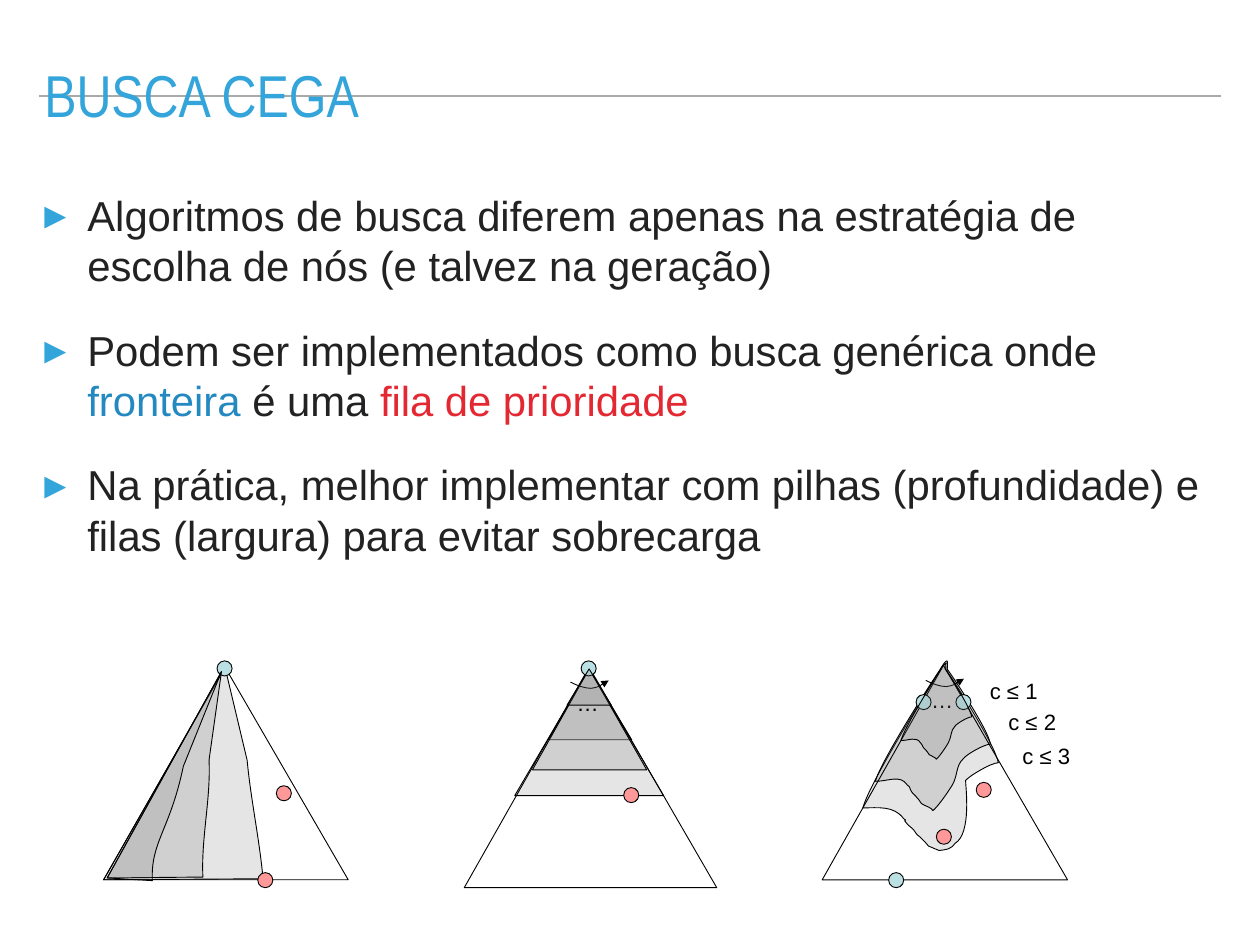
from lxml.etree import SubElement
from pptx import Presentation
from pptx.dml.color import RGBColor
from pptx.enum.shapes import MSO_CONNECTOR, MSO_SHAPE
from pptx.enum.text import MSO_ANCHOR, MSO_AUTO_SIZE, PP_ALIGN
from pptx.oxml.ns import qn
from pptx.util import Pt

BLACK = RGBColor(0, 0, 0)
GRAY = RGBColor(0x80, 0x80, 0x80)
RULE_GRAY = RGBColor(0xA6, 0xAA, 0xA9)
TEXT_DARK = RGBColor(0x22, 0x22, 0x22)
TITLE_BLUE = RGBColor(0x34, 0xA5, 0xDA)
WORD_BLUE = RGBColor(0x23, 0x89, 0xC0)
WORD_RED = RGBColor(0xE4, 0x28, 0x32)
START_BLUE = RGBColor(0xBB, 0xE0, 0xE3)
GOAL_RED = RGBColor(0xFF, 0x99, 0x99)

TITLE = "BUSCA CEGA"
BULLETS = [
    [("Algoritmos de busca diferem apenas na estratégia de escolha de nós (e talvez na geração)", TEXT_DARK)],
    [("Podem ser implementados como busca genérica onde ", TEXT_DARK), ("fronteira", WORD_BLUE),
     (" é uma ", TEXT_DARK), ("fila de prioridade", WORD_RED)],
    [("Na prática, melhor implementar com pilhas (profundidade) e filas (largura) para evitar sobrecarga", TEXT_DARK)],
]

DEPTH_WIDE = [(84.2, 715), (213.8, 714.2), (211, 682.6, 203.8, 649.4, 200.9, 617.8), (182.9, 542.2)]
DEPTH_MIDDLE = [(87.1, 713.5), (164.9, 712.8), (163.4, 681.1, 171.4, 649.4, 169.9, 617.8), (180, 545.8)]
DEPTH_NARROW = [(87.1, 713.5), (123.8, 715.7), (122.4, 684, 138.2, 674.6, 149, 622.8), (180, 545.8)]

COST_THREE = [
    (770.4, 546.5),
    (778.3, 558, 808.6, 605.5, 811.4, 619.9),
    (805.7, 619.9, 787.7, 630.7, 784.8, 634.3),
    (784.8, 639.4, 789.8, 677.5, 776.2, 685.4),
    (772.6, 690.5, 769, 690.5, 763.2, 691.2),
    (758.9, 689.8, 758.2, 689.8, 754.6, 687.6),
    (752.4, 684.7, 748.1, 680.4, 745.2, 678.2),
    (741.6, 673.2, 743.8, 675.4, 738.7, 671),
    (730.8, 663.1, 739.4, 668.9, 734.4, 665.3),
    (726.5, 654.5, 713.5, 656.6, 701.3, 656.6),
    (706.3, 637.2, 751, 565.2, 762.5, 547.2),
    (774, 528.5, 768.2, 546.5, 770.4, 546.5),
]
COST_TWO = [
    (769.7, 543.6),
    (776.9, 553.7, 802.8, 592.6, 805, 604.8),
    (799.9, 604.8, 784.8, 613.4, 782.6, 617),
    (776.9, 622.1, 778.3, 630.7, 774, 637.9),
    (769.7, 645.1, 761.8, 655.9, 758.2, 658.8),
    (756.7, 655.9, 751.7, 655.2, 748.8, 653),
    (745.9, 648.7, 747.4, 650.9, 743.8, 646.6),
    (737.3, 640.8, 741.6, 640.8, 737.3, 637.9),
    (731.5, 629.3, 722.2, 635, 711.4, 635),
    (715.7, 619.2, 753.8, 559.4, 763.9, 544.3),
    (773.3, 528.5, 769, 543.6, 769.7, 543.6),
]
SWEEP = [(0, 0), (5.8, 2.9, 11.5, 5, 16.6, 5), (22.3, 4.3, 26.6, 1.4, 31, -1.4)]


def place(path, left, top, origin=(0, 0), scale=(1, 1)):
    offsets = (left, top)
    return [tuple(offsets[i % 2] + (value - origin[i % 2]) * scale[i % 2]
                  for i, value in enumerate(node)) for node in path]


def triangle(left, right, base, apex_x, apex_y):
    return [(left, base), (right, base), (apex_x, apex_y)]


def breadth_layer(left, right, base):
    return triangle(left, right, base, 478.8, 543.6)


COST_ONE = place(COST_TWO, 732.2, 543.6, (711.4, 543.6), (0.615, 0.6375))

DRAWING = [
    ("area", breadth_layer(445.7, 513.4, 601.2)),
    ("area", breadth_layer(418.3, 539.3, 646.6)),
    ("area", breadth_layer(432.7, 525.6, 625.7)),
    ("outline", triangle(377.3, 582.5, 721.4, 478.8, 542.2)),
    ("start", (472.3, 537.1)),
    ("label", "…", (465.1, 556.6, 19.4, 24.5)),
    ("arrow", place(SWEEP, 463.7, 554.4)),
    ("goal", (506.9, 640.1)),
    ("area", breadth_layer(460.8, 496.8, 573.1)),
    ("area", DEPTH_WIDE),
    ("outline", triangle(84.2, 283, 715, 182.9, 542.2)),
    ("start", (176.4, 537.1)),
    ("goal", (209.5, 709.2)),
    ("area", DEPTH_MIDDLE),
    ("area", DEPTH_NARROW),
    ("goal", (224.6, 638.6)),
    ("area", COST_THREE),
    ("area", COST_TWO),
    ("label", "…", (753.1, 554.4, 18.7, 23.8)),
    ("outline", triangle(668.2, 867.6, 715, 766.8, 540.7)),
    ("start", (744.5, 564.5)),
    ("start", (776.9, 564.5)),
    ("arrow", place(SWEEP, 752.4, 553)),
    ("start", (722.2, 709.2)),
    ("goal", (793.4, 635.8)),
    ("goal", (761, 673.9)),
    ("area", COST_ONE),
    ("label", "c ≤ 3", (827.3, 599.8, 56.2, 25.2)),
    ("label", "c ≤ 2", (815.8, 572.4, 56.2, 25.2)),
    ("label", "c ≤ 1", (800.8, 546.8, 56.2, 25.2)),
]


def extent_points(path, steps=16):
    points = [path[0]]
    for node in path[1:]:
        if len(node) == 2:
            points.append(node)
            continue
        controls = [points[-1], node[:2], node[2:4], node[4:]]
        for step in range(1, steps + 1):
            t = step / steps
            weights = ((1 - t) ** 3, 3 * t * (1 - t) ** 2, 3 * t * t * (1 - t), t ** 3)
            points.append(tuple(sum(w * c[axis] for w, c in zip(weights, controls)) for axis in (0, 1)))
    return points


def write_segments(shape, path, closed):
    outline = shape._element.spPr.find(".//" + qn("a:path"))
    for segment in list(outline):
        outline.remove(segment)
    for index, node in enumerate(path):
        tag = "a:moveTo" if index == 0 else "a:lnTo" if len(node) == 2 else "a:cubicBezTo"
        segment = SubElement(outline, qn(tag))
        for x, y in zip(node[::2], node[1::2]):
            SubElement(segment, qn("a:pt"), x=str(Pt(x) - shape.left), y=str(Pt(y) - shape.top))
    if closed:
        SubElement(outline, qn("a:close"))


def style_line(shape):
    shape.shadow.inherit = False
    shape.line.color.rgb = BLACK
    shape.line.width = Pt(0.75)


def add_path(slide, kind, path):
    points = [(Pt(x), Pt(y)) for x, y in extent_points(path)]
    builder = slide.shapes.build_freeform(*points[0])
    builder.add_line_segments(points[1:], close=False)
    shape = builder.convert_to_shape()
    write_segments(shape, path, kind != "arrow")
    if kind == "area":
        shape.fill.solid()
        shape.fill.fore_color.rgb = GRAY
        color = shape._element.spPr.find(".//" + qn("a:srgbClr"))
        SubElement(color, qn("a:alpha"), val="20000")
    else:
        shape.fill.background()
    style_line(shape)
    if kind == "arrow":
        SubElement(shape.line._get_or_add_ln(), qn("a:tailEnd"), type="triangle")


def add_node(slide, kind, position):
    left, top = position
    shape = slide.shapes.add_shape(MSO_SHAPE.OVAL, Pt(left), Pt(top), Pt(12.24), Pt(12.24))
    shape.fill.solid()
    shape.fill.fore_color.rgb = START_BLUE if kind == "start" else GOAL_RED
    style_line(shape)


def prepare_frame(frame, inset, anchor=MSO_ANCHOR.TOP):
    frame.word_wrap = True
    frame.auto_size = MSO_AUTO_SIZE.NONE
    frame.vertical_anchor = anchor
    frame.margin_left = frame.margin_right = frame.margin_top = frame.margin_bottom = Pt(inset)


def add_run(paragraph, text, size, color, font_name="Arial"):
    run = paragraph.add_run()
    run.text = text
    run.font.size = Pt(size)
    run.font.name = font_name
    run.font.color.rgb = color


def add_label(slide, text, box):
    frame = slide.shapes.add_textbox(*map(Pt, box)).text_frame
    prepare_frame(frame, 3.6)
    add_run(frame.paragraphs[0], text, 18, BLACK)


def add_title(slide):
    title = slide.shapes.title
    title.left, title.top, title.width, title.height = Pt(32), Pt(53.3), Pt(960), Pt(56.9)
    prepare_frame(title.text_frame, 4, MSO_ANCHOR.MIDDLE)
    paragraph = title.text_frame.paragraphs[0]
    paragraph.alignment = PP_ALIGN.LEFT
    paragraph.line_spacing = 0.8
    add_run(paragraph, TITLE, 48, TITLE_BLUE, "Arial Narrow")
    rule = slide.shapes.add_connector(MSO_CONNECTOR.STRAIGHT, Pt(32), Pt(78.2), Pt(992), Pt(78.2))
    rule.line.color.rgb = RULE_GRAY
    rule.line.width = Pt(2)
    SubElement(rule._element.spPr, qn("a:effectLst"))
    title._element.addprevious(rule._element)


def add_bullets(slide):
    frame = slide.shapes.add_textbox(Pt(32), Pt(150), Pt(960), Pt(354)).text_frame
    prepare_frame(frame, 4)
    for index, runs in enumerate(BULLETS):
        paragraph = frame.add_paragraph() if index else frame.paragraphs[0]
        properties = paragraph._p.get_or_add_pPr()
        properties.set("marL", str(Pt(35)))
        properties.set("indent", str(-Pt(35)))
        color = SubElement(properties, qn("a:buClr"))
        SubElement(color, qn("a:srgbClr"), val=str(TITLE_BLUE))
        SubElement(properties, qn("a:buSzPct"), val="105000")
        SubElement(properties, qn("a:buFont"), typeface="Arial")
        SubElement(properties, qn("a:buChar"), char="▸")
        if index:
            paragraph.space_before = Pt(28)
        for text, run_color in runs:
            add_run(paragraph, text, 34, run_color)


def main():
    presentation = Presentation()
    presentation.slide_width, presentation.slide_height = Pt(1024), Pt(768)
    slide = presentation.slides.add_slide(presentation.slide_layouts[5])
    add_title(slide)
    add_bullets(slide)
    for kind, *details in DRAWING:
        if kind == "label":
            add_label(slide, *details)
        elif kind in ("start", "goal"):
            add_node(slide, kind, *details)
        else:
            add_path(slide, kind, *details)
    presentation.save("out.pptx")


if __name__ == "__main__":
    main()
